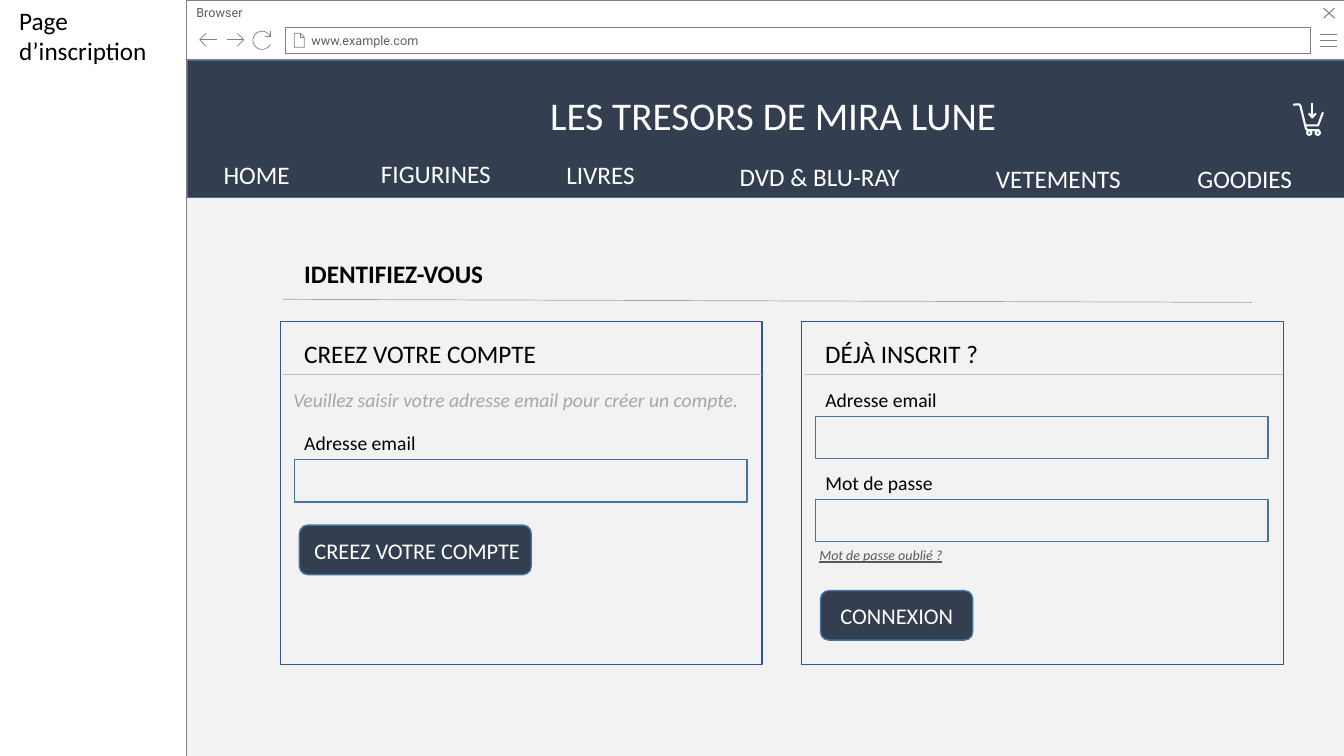
from dataclasses import dataclass
from math import cos, radians, sin

from lxml.etree import SubElement
from pptx import Presentation
from pptx.dml.color import RGBColor as RGB
from pptx.enum.shapes import MSO_CONNECTOR as CXN, MSO_SHAPE as SHAPE
from pptx.enum.text import MSO_ANCHOR as ANCHOR, MSO_AUTO_SIZE as AUTO, PP_ALIGN as ALIGN
from pptx.oxml.ns import qn
from pptx.util import Pt


@dataclass(frozen=True)
class Theme:
    """Colours, fonts and type sizes of the mock-up."""
    ink: str = "000000"
    white: str = "FFFFFF"
    page: str = "F2F2F2"
    navy: str = "333F50"
    steel: str = "43739E"
    panel: str = "2F5597"
    chrome: str = "808080"
    chrome_text: str = "5F5F5F"
    hint: str = "A6A6A6"
    rule: str = "BFBFBF"
    link: str = "595959"
    body_font: str = "Calibri"
    chrome_font: str = "Roboto"
    banner: int = 28
    head: int = 18
    button: int = 16
    label: int = 14
    small: int = 10
    tiny: int = 9


@dataclass(frozen=True)
class Box:
    """A rectangle in points."""
    x: float
    y: float
    w: float
    h: float

    def sub(self, dx, dy, w, h):
        """Return a box placed relative to this one."""
        return Box(self.x + dx, self.y + dy, w, h)

    def emu(self):
        """Return left, top, width and height as lengths."""
        return [Pt(v) for v in (self.x, self.y, self.w, self.h)]


T = Theme()


def write(tf, text, size, color, font=T.body_font, **style):
    """Put one formatted run, left-aligned, in a text frame."""
    p = tf.paragraphs[0]
    p.alignment = ALIGN.LEFT
    r = p.add_run()
    r.text = text
    for key, value in dict(name=font, size=Pt(size), **style).items():
        setattr(r.font, key, value)
    r.font.color.rgb = RGB.from_string(color)


def label(s, box, text, size, color=T.ink, **style):
    """Add a text box."""
    tf = s.shapes.add_textbox(*box.emu()).text_frame
    for key, value in dict(word_wrap=True, auto_size=AUTO.SHAPE_TO_FIT_TEXT).items():
        setattr(tf, key, value)
    write(tf, text, size, color, **style)


def outline(sp, color, width):
    """Set the line of a shape and drop its shadow."""
    sp.line.color.rgb = RGB.from_string(color)
    sp.line.width = Pt(width)
    sp.shadow.inherit = False


def block(s, box, fill, line, width=1, kind=SHAPE.RECTANGLE):
    """Add a filled preset shape."""
    sp = s.shapes.add_shape(kind, *box.emu())
    sp.fill.solid()
    sp.fill.fore_color.rgb = RGB.from_string(fill)
    outline(sp, line, width)
    return sp


def rule(s, x1, y1, x2, y2, color):
    """Add a thin separator."""
    cxn = s.shapes.add_connector(CXN.STRAIGHT, *[Pt(v) for v in (x1, y1, x2, y2)])
    cxn.line.color.rgb = RGB.from_string(color)
    cxn.line.width = Pt(0.5)
    SubElement(cxn._element.spPr, qn("a:effectLst"))


def icon(s, box, strokes, color=T.chrome, width=0.5):
    """Draw open strokes, given relative to the box, as one outline."""
    paths = [[(Pt(box.x + x), Pt(box.y + y)) for x, y in stroke] for stroke in strokes]
    fb = s.shapes.build_freeform(*paths[0][0])
    for i, (start, *rest) in enumerate(paths):
        if i:
            fb.move_to(*start)
        fb.add_line_segments(rest, close=False)
    sp = fb.convert_to_shape()
    sp.fill.background()
    outline(sp, color, width)


def arc(cx, cy, radius, start, end, step=10):
    """Return points along a circular arc, angles in degrees."""
    return [(cx + radius * cos(radians(a)), cy + radius * sin(radians(a)))
            for a in range(start, end + 1, step)]


def browser(s, box):
    """Draw the browser window with its bar, address and icons."""
    bar_h = 42.5
    block(s, box.sub(0, bar_h, box.w, box.h - bar_h), T.page, T.chrome, 0.5)
    bar = block(s, box.sub(0, 0, box.w, bar_h), T.white, T.chrome, 0.5)
    address = block(s, box.sub(70.6, 19.4, 732.2, 18.7), T.white, T.chrome, 0.5)
    for sp, text, anchor, left in ((bar, "Browser", ANCHOR.TOP, 7.2),
                                   (address, "www.example.com", ANCHOR.MIDDLE, 18.7)):
        sp.text_frame.vertical_anchor = anchor
        sp.text_frame.margin_left = Pt(left)
        write(sp.text_frame, text, T.tiny, T.chrome_text, font=T.chrome_font)
    icon(s, box, [[(810, y), (821.5, y)] for y in (24.5, 28.8, 33.1)])
    icon(s, box, [[(820, 5.8), (812.2, 13)], [(812.2, 5.8), (820, 13)]], width=0.75)
    icon(s, box, [[(81.4, 23.8), (81.4, 26.4), (84.2, 26.4)],
                  [(81.4, 23.8), (77, 23.8), (77, 33.8), (84.2, 33.8), (84.2, 26.4), (81.4, 23.8)]])
    for tip, neck, tail in ((9.4, 14, 21.6), (41, 36.4, 28.8)):
        icon(s, box, [[(neck, 23.8), (tip, 28.5), (neck, 33.1)], [(tip, 28.5), (tail, 28.5)]])
    icon(s, box, [arc(54, 28.8, 6.5, 25, 335), [(60, 22.3), (60, 25.9), (56.2, 25.9)]])


def cart(s, box):
    """Draw the shopping cart."""
    icon(s, box, [
        [(14.4, 0.3), (14.4, 10.5)],
        [(11.9, 7.6), (14.4, 10.5), (16.9, 7.6)],
        [(0.7, 1.4), (5, 1.1), (6, 2.5), (9.8, 18.3), (11, 19.6), (19.5, 19.6)],
        [(10, 16.2), (18.5, 16.2), (22, 6.8)],
        *[arc(cx, 21.4, 1.5, 0, 360, 30) for cx in (12.2, 18.3)],
    ], T.white, 1.5)


def banner(s, box):
    """Draw the site banner with its menu."""
    block(s, box, T.navy, T.steel)
    label(s, box.sub(252, 18.7, 363.6, 41.2), "LES TRESORS DE MIRA LUNE", T.banner, T.white)
    for text, dx, dy, w in (("HOME", 18.7, 67, 75.6), ("FIGURINES", 131.1, 66.2, 100),
                            ("LIVRES", 263.5, 67, 120), ("DVD & BLU-RAY", 387.4, 68.4, 150),
                            ("VETEMENTS", 570.3, 69.8, 140), ("GOODIES", 714.3, 69.8, 110)):
        label(s, box.sub(dx, dy, w, 29), text, T.head, T.white)
    cart(s, box.sub(789.1, 30.2, 22.3, 23))


def field(s, box, text):
    """Draw a labelled input."""
    label(s, box.sub(0, 0, 169.2, 24.2), text, T.label)
    block(s, box.sub(0, 23.7, box.w, 30.2), T.page, T.steel)


def button(s, box, text, indent):
    """Draw a rounded button with its caption."""
    block(s, box, T.navy, T.steel, kind=SHAPE.ROUNDED_RECTANGLE)
    label(s, box.sub(indent, 5, 203.8, 26.6), text, T.button, T.white)


def panel(s, box, title, fields):
    """Draw a form panel: frame, title, separator and inputs."""
    block(s, box, T.page, T.panel)
    label(s, box.sub(10, 8.6, 293, 29), title, T.head)
    rule(s, box.x + 2.2, box.y + 37.4, box.x + box.w, box.y + 37.4, T.rule)
    for text, dy in fields:
        field(s, box.sub(10, dy, 323.3, 54), text)


def sign_up(s, box):
    """Draw the account creation panel."""
    panel(s, box, "CREEZ VOTRE COMPTE", [("Adresse email", 74.9)])
    label(s, box.sub(2.2, 43.9, 375.8, 24.2),
          "Veuillez saisir votre adresse email pour créer un compte.", T.label, T.hint, italic=True)
    button(s, box.sub(13.7, 145.4, 165.6, 35.3), "CREEZ VOTRE COMPTE", 3.6)


def sign_in(s, box):
    """Draw the login panel."""
    panel(s, box, "DÉJÀ INSCRIT ?", [("Adresse email", 43.9), ("Mot de passe", 103.3)])
    label(s, box.sub(5.8, 157, 208, 19.4), "Mot de passe oublié ?", T.small, T.link,
          italic=True, underline=True)
    button(s, box.sub(13.7, 192.2, 108.7, 35.3), "CONNEXION", 7.2)


def caption(s, box):
    """Place the slide title beside the window."""
    sp = s.shapes.title
    for key, value in zip(("left", "top", "width", "height"), box.emu()):
        setattr(sp, key, value)
    tf = sp.text_frame
    for key, value in dict(word_wrap=True, auto_size=AUTO.NONE, vertical_anchor=ANCHOR.TOP).items():
        setattr(tf, key, value)
    write(tf, "Page d’inscription", T.head, T.ink)


def main():
    """Build and save the slide."""
    prs = Presentation()
    prs.slide_width, prs.slide_height = Pt(960), Pt(540)
    s = prs.slides.add_slide(prs.slide_layouts[5])
    caption(s, Box(6.5, 0, 126, 51))
    browser(s, Box(133.2, 0, 829.4, 541.4))
    banner(s, Box(133.9, 43.2, 829.4, 97.9))
    label(s, Box(210.2, 180.7, 267.8, 29), "IDENTIFIEZ-VOUS", T.head, bold=True)
    rule(s, 202.3, 213.8, 894.2, 216, T.hint)
    left = Box(200.2, 229.7, 344.2, 244.8)
    sign_up(s, left)
    sign_in(s, left.sub(372.2, 0, left.w, left.h))
    prs.save("out.pptx")


if __name__ == "__main__":
    main()
